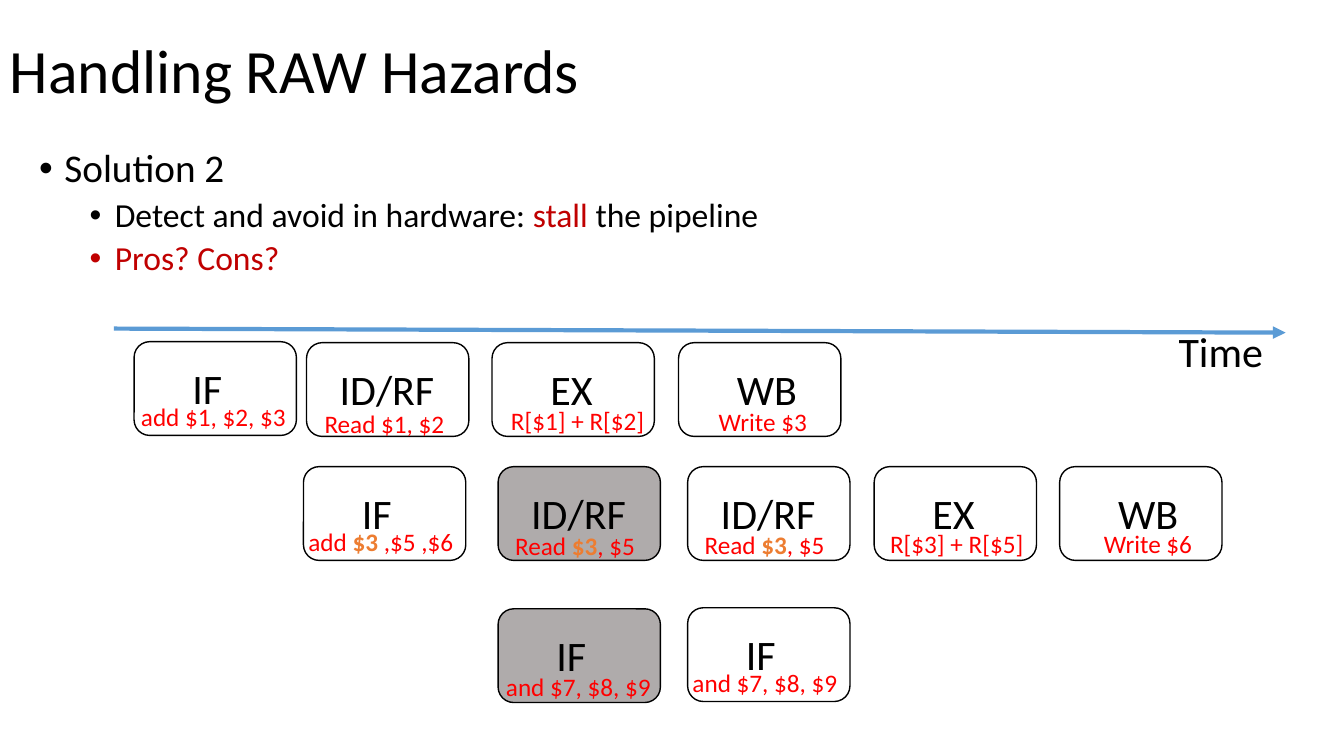
from lxml import etree
from pptx import Presentation
from pptx.dml.color import RGBColor
from pptx.enum.shapes import MSO_CONNECTOR, MSO_SHAPE
from pptx.enum.text import MSO_ANCHOR, MSO_AUTO_SIZE
from pptx.oxml.ns import qn
from pptx.util import Pt

PX = 9144  # 100 px to the inch
LINE = MSO_CONNECTOR.STRAIGHT
ROUND = MSO_SHAPE.ROUNDED_RECTANGLE
MIDDLE, TOP = MSO_ANCHOR.MIDDLE, MSO_ANCHOR.TOP
GROW, FIXED = MSO_AUTO_SIZE.SHAPE_TO_FIT_TEXT, MSO_AUTO_SIZE.NONE

THEME = {
    "font": "Calibri",
    "ink": RGBColor(0x00, 0x00, 0x00),
    "key": RGBColor(0xC0, 0x00, 0x00),
    "note": RGBColor(0xFF, 0x00, 0x00),
    "hot": RGBColor(0xED, 0x7D, 0x31),
    "stall": RGBColor(0xAF, 0xAB, 0xAB),
    "axis": RGBColor(0x5B, 0x9B, 0xD5),
    "title": Pt(44), "head": Pt(28), "sub": Pt(24),
    "stage": Pt(30), "small": Pt(18),
}

deck = Presentation()
deck.slide_width, deck.slide_height = 1333 * PX, 750 * PX
slide = deck.slides.add_slide(deck.slide_layouts[6])
shapes = slide.shapes


def add_box(left, top, width, height, wrap=False, anchor=TOP):
    box = shapes.add_textbox(left * PX, top * PX, width * PX, height * PX)
    form = {"word_wrap": wrap, "auto_size": FIXED if wrap else GROW,
            "vertical_anchor": anchor}
    for name, value in form.items():
        setattr(box.text_frame, name, value)
    return box.text_frame


def write(para, parts, size, tone="ink", accent="key", bold=False):
    """Every second part takes the accent colour."""
    for i, part in enumerate(parts):
        if not part:
            continue
        run = para.add_run()
        run.text = part
        form = {"name": THEME["font"], "size": THEME[size],
                "bold": bold and i % 2 == 1}
        for name, value in form.items():
            setattr(run.font, name, value)
        run.font.color.rgb = THEME[accent if i % 2 else tone]


# Title
title = add_box(0, 0, 1150, 145, True, MIDDLE).paragraphs[0]
title.line_spacing = 0.9
write(title, ["Handling RAW Hazards"], "title")

# Bullets: level, size, space before, parts
points = [
    (0, "head", 0, ["Solution 2"]),
    (1, "sub", 5, ["Detect and avoid in hardware: ", "stall", " the pipeline"]),
    (1, "sub", 5, ["", "Pros? Cons?"]),
]
body = add_box(29, 143, 1202, 476, True)
for i, (level, size, gap, parts) in enumerate(points):
    para = body.add_paragraph() if i else body.paragraphs[0]
    props = para._p.get_or_add_pPr()
    props.set("marL", str((25 + 50 * level) * PX))
    props.set("indent", str(-25 * PX))
    etree.SubElement(props, qn("a:buFont")).set("typeface", "Arial")
    etree.SubElement(props, qn("a:buChar")).set("char", "•")
    form = {"level": level, "line_spacing": 0.9, "space_before": Pt(gap)}
    for name, value in form.items():
        setattr(para, name, value)
    write(para, parts, size)

# Time axis
axis = shapes.add_connector(LINE, 113 * PX, 326 * PX, 1275 * PX, 330 * PX)
axis.line.color.rgb = THEME["axis"]
axis.line.width = Pt(3)
etree.SubElement(axis.line._get_or_add_ln(), qn("a:tailEnd")).set("type", "triangle")
etree.SubElement(axis._element.spPr, qn("a:effectLst"))
write(add_box(1159, 318, 105, 61).paragraphs[0], ["Time"], "stage")

# Stage: label inset, label width, note width
STAGES = {"IF": (48, 50, 166), "ID/RF": (23, 115, 141),
          "EX": (48, 63, 154), "WB": (48, 81, 109)}
read = ["Read ", "$3", ", $5"]
last = ["and $7, $8, $9"]

# Pipeline: stage, left, top, stalled, note left, note top, note parts
steps = [
    ("IF", 133, 339, False, 130, 393, ["add $1, $2, $3"]),
    ("ID/RF", 304, 340, False, 312, 400, ["Read $1, $2"]),
    ("EX", 488, 340, False, 497, 397, ["R[$1] + R[$2]"]),
    ("WB", 673, 340, False, 703, 398, ["Write $3"]),
    ("IF", 301, 463, False, 296, 517, ["add ", "$3", " ,$5 ,$6"]),
    ("ID/RF", 494, 463, True, 501, 521, read),
    ("ID/RF", 682, 463, False, 689, 520, read),
    ("EX", 867, 463, False, 873, 519, ["R[$3] + R[$5]"]),
    ("WB", 1051, 463, False, 1085, 519, ["Write $6"]),
    ("IF", 494, 604, True, 492, 661, last),
    ("IF", 682, 603, False, 677, 657, last),
]
for stage, left, top, stalled, x, y, note in steps:
    inset, wide, span = STAGES[stage]
    card = shapes.add_shape(ROUND, left * PX, top * PX, 161 * PX, 93 * PX)
    card.shadow.inherit = False
    card.line.color.rgb = THEME["ink"]
    card.line.width = Pt(1)
    if stalled:
        card.fill.solid()
        card.fill.fore_color.rgb = THEME["stall"]
    else:
        card.fill.background()
    label = add_box(left + inset, top + 16, wide, 61)
    write(label.paragraphs[0], [stage], "stage")
    write(add_box(x, y, span, 40).paragraphs[0], note, "small", "note", "hot", True)

deck.save("out.pptx")
